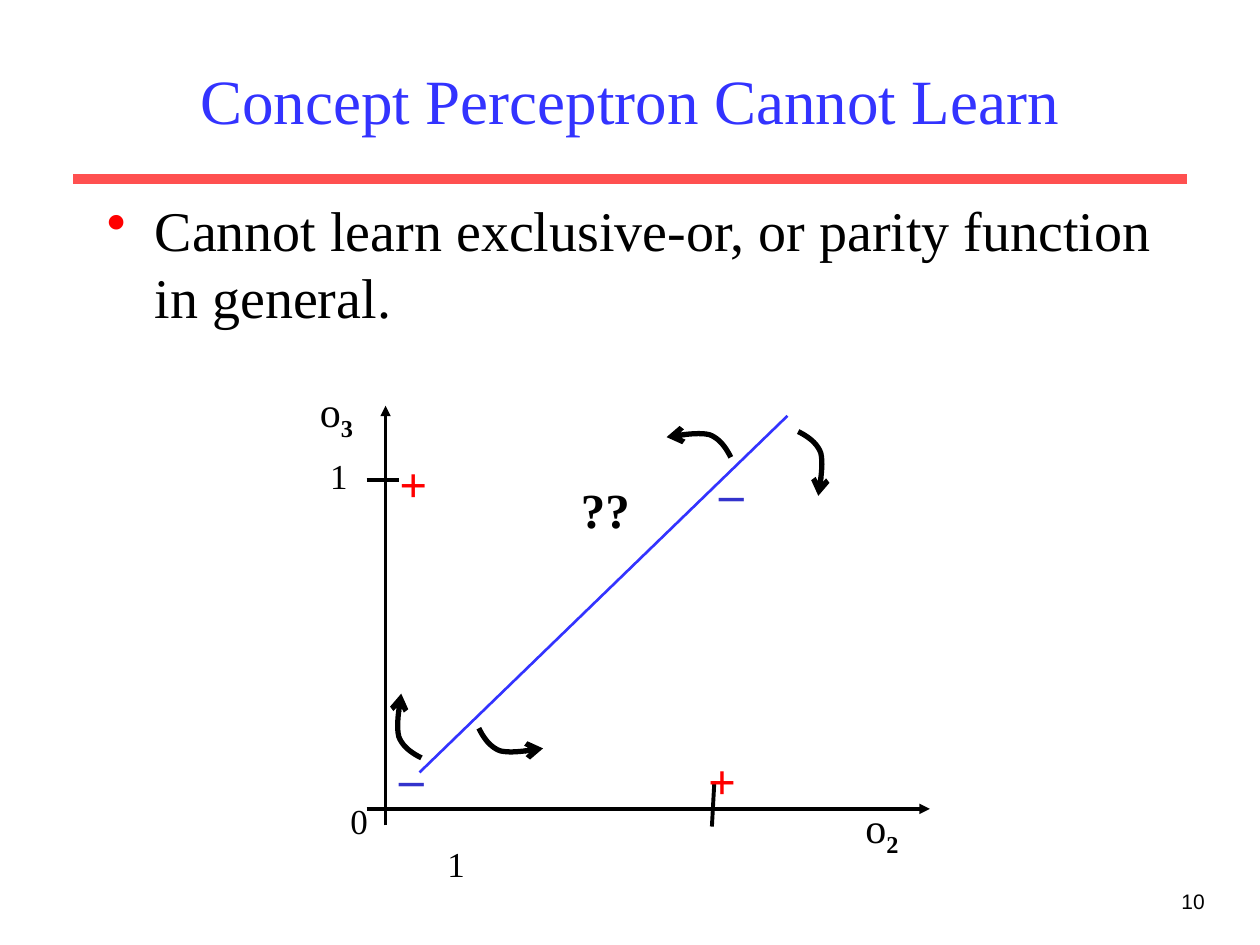
from lxml import etree
from pptx import Presentation
from pptx.dml.color import RGBColor
from pptx.enum.shapes import MSO_CONNECTOR
from pptx.enum.text import MSO_ANCHOR, MSO_AUTO_SIZE, PP_ALIGN
from pptx.oxml.ns import qn
from pptx.util import Inches, Pt

SERIF = "Times New Roman"
BLACK, RED, BLUE, NAVY, CORAL = "000000", "FF0000", "3333FF", "3333CC", "FF5050"

# Cubic curve of a turning arrow, relative to its centre: start, then two segments.
TURN_START = (0.255, 0.1)
TURN_SEGMENTS = [
    ((0.215, 0.02), (0.165, -0.05), (0.085, -0.08)),
    ((-0.005, -0.1), (-0.125, -0.08), (-0.255, -0.06)),
]
STEPS = 10


def color(hex_string):
    return RGBColor.from_string(hex_string)


def add_span(para, text, size, hex_color=BLACK, bold=False, font=SERIF):
    span = para.add_run()
    span.text = text
    span.font.name, span.font.size, span.font.bold = font, Pt(size), bold
    span.font.color.rgb = color(hex_color)
    return span


def add_box(page, left, top, width, height, align=PP_ALIGN.LEFT, wrap=True):
    """Add an empty text box and return its frame and first paragraph."""
    box = page.shapes.add_textbox(
        Inches(left), Inches(top), Inches(width), Inches(height))
    frame = box.text_frame
    frame.word_wrap = wrap
    frame.auto_size = MSO_AUTO_SIZE.NONE if wrap else MSO_AUTO_SIZE.SHAPE_TO_FIT_TEXT
    para = frame.paragraphs[0]
    para.alignment = align
    return frame, para


def add_label(page, left, top, width, height, text, size,
              hex_color=BLACK, bold=False, subscript=None):
    _, para = add_box(page, left, top, width, height, PP_ALIGN.CENTER, wrap=False)
    add_span(para, text, size, hex_color, bold)
    if subscript:
        span = add_span(para, subscript, size, hex_color, bold=True)
        span.font._element.set("baseline", "-25000")


def add_bullet(para, hex_color):
    props = para._p.get_or_add_pPr()
    props.set("marL", str(Inches(0.38)))
    props.set("indent", str(-Inches(0.38)))
    bullet_color = etree.SubElement(props, qn("a:buClr"))
    etree.SubElement(bullet_color, qn("a:srgbClr"), val=hex_color)
    etree.SubElement(props, qn("a:buChar"), char="•")


def style_line(line, hex_color, width, arrow=None):
    line.color.rgb = color(hex_color)
    line.width = Pt(width)
    if arrow:
        etree.SubElement(line._get_or_add_ln(), qn("a:tailEnd"), type=arrow)


def add_line(page, start, end, hex_color, width, arrow=None):
    ends = [Inches(value) for value in (*start, *end)]
    connector = page.shapes.add_connector(MSO_CONNECTOR.STRAIGHT, *ends)
    style_line(connector.line, hex_color, width, arrow)
    etree.SubElement(connector._element.spPr, qn("a:effectLst"))


def turn_points():
    """Sample the turning arrow's curve."""
    points = [TURN_START]
    for segment in TURN_SEGMENTS:
        controls = (points[-1], *segment)
        for step in range(1, STEPS + 1):
            t = step / STEPS
            weights = ((1 - t) ** 3, 3 * t * (1 - t) ** 2, 3 * t * t * (1 - t), t ** 3)
            points.append(tuple(
                sum(w * control[axis] for w, control in zip(weights, controls))
                for axis in (0, 1)))
    return points


def add_turn_arrow(page, center_x, center_y, quarter_turns, mirrored):
    points = []
    for x, y in turn_points():
        x = -x if mirrored else x
        for _ in range(quarter_turns):
            x, y = -y, x
        points.append((Inches(center_x + x), Inches(center_y + y)))
    builder = page.shapes.build_freeform(*points[0])
    builder.add_line_segments(points[1:], close=False)
    shape = builder.convert_to_shape()
    shape.shadow.inherit = False
    shape.fill.background()
    style_line(shape.line, BLACK, 3, "arrow")


def add_heading(page):
    add_line(page, (0.58, 1.42), (9.42, 1.42), CORAL, 6)
    _, number = add_box(page, 7.58, 7, 2.08, 0.5, PP_ALIGN.RIGHT)
    add_span(number, "10", 12, font="Arial")
    frame, title = add_box(page, 0.75, 0.25, 8.5, 1.08, PP_ALIGN.CENTER)
    frame.vertical_anchor = MSO_ANCHOR.MIDDLE
    add_span(title, "Concept Perceptron Cannot Learn", 36, BLUE)
    _, body = add_box(page, 0.75, 1.5, 8.5, 1.42)
    body.space_before = Pt(6.4)
    add_bullet(body, RED)
    add_span(body, "Cannot learn exclusive-or, or parity function in general.", 32)


def add_plot(page):
    add_line(page, (3.06, 6.55), (3.06, 3.22), BLACK, 2, "triangle")
    add_line(page, (2.91, 6.42), (7.38, 6.42), BLACK, 2, "triangle")
    add_line(page, (3.33, 6.13), (6.25, 3.3), BLUE, 1.5)
    for left, top, index in ((2.43, 3.01, "3"), (6.76, 6.31, "2")):
        add_label(page, left, top, 0.48, 0.5, "o", 24, subscript=index)

    for center_x, center_y, turns, mirrored in (
            (5.545, 3.53, 0, False), (6.435, 3.68, 1, True),
            (3.245, 5.76, 3, True), (4.055, 5.88, 2, False)):
        add_turn_arrow(page, center_x, center_y, turns, mirrored)

    add_label(page, 4.51, 3.76, 0.59, 0.57, "??", 28, bold=True)
    add_line(page, (2.91, 3.81), (3.17, 3.81), BLACK, 2.25)
    add_line(page, (5.67, 6.2), (5.65, 6.56), BLACK, 2.25)
    for left, top, text in ((2.52, 3.56, "1"), (2.68, 6.3, "0"), (3.45, 6.64, "1")):
        add_label(page, left, top, 0.34, 0.43, text, 20)
    for left, top in ((3.07, 3.55), (5.52, 5.91)):
        add_label(page, left, top, 0.42, 0.57, "+", 28, RED, bold=True)
    for left, top in ((5.61, 3.62), (3.07, 5.88)):
        add_label(page, left, top, 0.39, 0.57, "–", 28, NAVY, bold=True)


def main():
    deck = Presentation()
    deck.slide_width, deck.slide_height = Inches(10), Inches(7.5)
    page = deck.slides.add_slide(deck.slide_layouts[6])
    add_heading(page)
    add_plot(page)
    deck.save("out.pptx")


if __name__ == "__main__":
    main()
